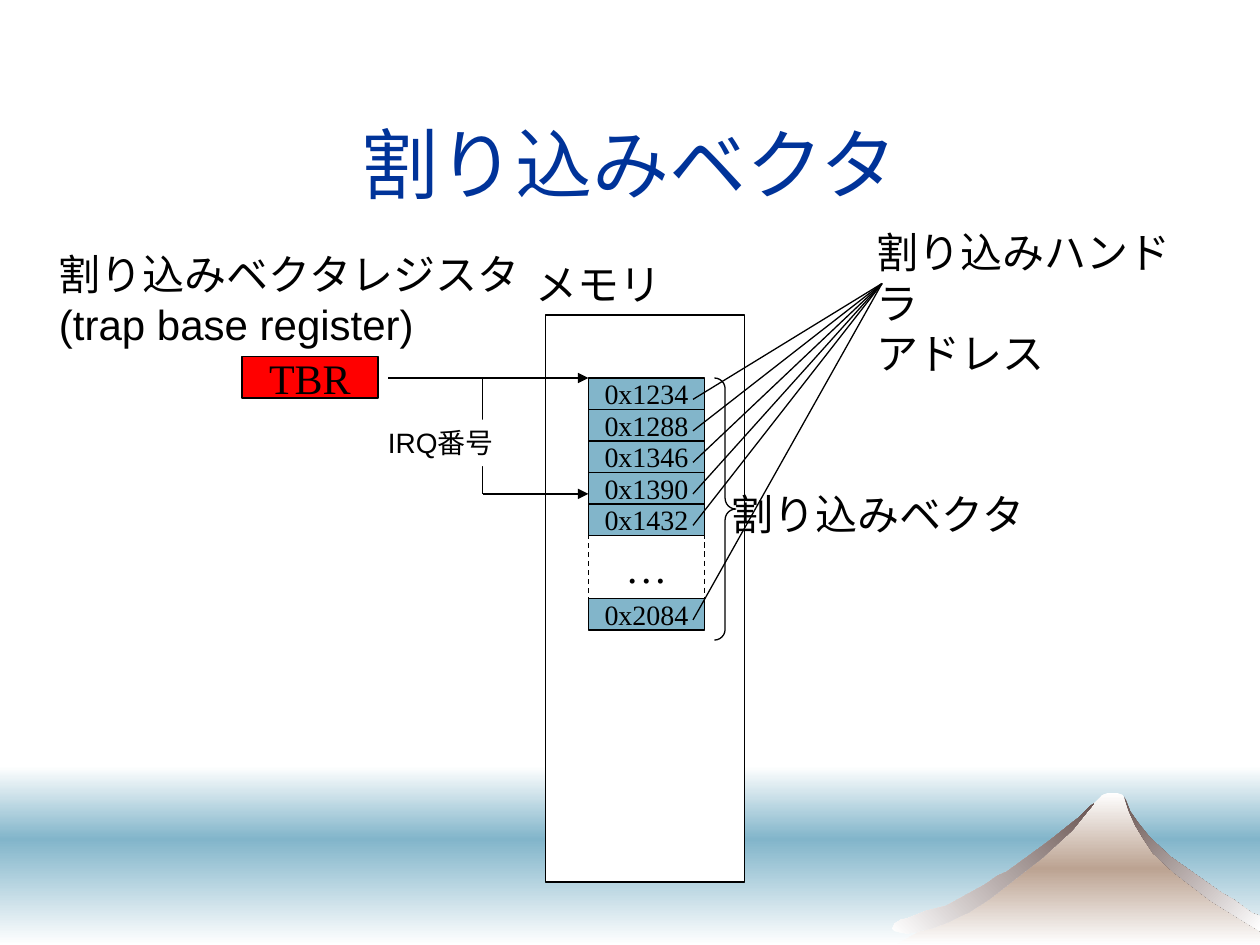
import copy

import pptx
import pptx.dml.color
import pptx.enum.dml
import pptx.enum.shapes
import pptx.enum.text
import pptx.oxml
import pptx.util

Inches = pptx.util.Inches
RGBColor = pptx.dml.color.RGBColor
SHAPE = pptx.enum.shapes.MSO_SHAPE
ALIGN = pptx.enum.text.PP_ALIGN
ANCHOR = pptx.enum.text.MSO_ANCHOR

BLACK = RGBColor(0, 0, 0)
WHITE = RGBColor(255, 255, 255)
RED = RGBColor(255, 0, 0)
NAVY = RGBColor(0x00, 0x33, 0x99)
SEA = RGBColor(0x82, 0xB5, 0xCA)
EARTH = RGBColor(0xBC, 0xA3, 0x92)
ROCK = RGBColor(0x6B, 0x56, 0x53)
SERIF = "Times New Roman"
SANS = "Arial"
LINE_WIDTH = pptx.util.Pt(0.74)

BODY = [(3, 121), (82, 76), (132, 37), (161, 8), (167, 2), (172, 0), (178, 0),
        (183, 2), (195, 28), (214, 51), (260, 83), (292, 104), (292, 121)]
RIGHT_RIDGE = [(207, 48), (223, 63), (240, 76), (253, 86), (282, 104), (292, 110),
               (292, 98), (286, 96), (271, 85), (262, 80), (221, 51), (204, 35),
               (196, 25), (189, 15), (186, 7), (184, 3), (188, 15), (193, 26),
               (199, 36), (203, 42)]
LEFT_RIDGE = [(124, 39), (91, 63), (84, 66), (74, 73), (43, 90), (27, 94), (12, 100),
              (7, 101), (2, 104), (0, 108), (2, 110), (6, 111), (12, 112), (22, 110),
              (31, 108), (42, 104), (61, 95), (72, 88), (78, 84), (119, 52),
              (143, 30), (156, 14), (160, 9), (157, 11), (148, 20)]


def set_values(target, values):
    for name, value in values.items():
        setattr(target, name, value)


def write_text(shape, text, size, font=SANS, color=BLACK, align=ALIGN.LEFT,
               anchor=ANCHOR.TOP, wrap=False):
    frame = shape.text_frame
    set_values(frame, {"word_wrap": wrap, "vertical_anchor": anchor})
    paragraph = frame.paragraphs[0]
    paragraph.text = text
    paragraph.alignment = align
    for run in paragraph.runs:
        set_values(run.font, {"name": font, "size": pptx.util.Pt(size)})
        run.font.color.rgb = color


def add_box(slide, left, top, width, height, fill=None, outline=BLACK, preset=SHAPE.RECTANGLE):
    shape = slide.shapes.add_shape(
        preset, Inches(left), Inches(top), Inches(width), Inches(height))
    shape.shadow.inherit = False
    if fill is None:
        shape.fill.background()
    else:
        shape.fill.solid()
        shape.fill.fore_color.rgb = fill
    if outline is None:
        shape.line.fill.background()
    else:
        shape.line.color.rgb = outline
        shape.line.width = LINE_WIDTH
    return shape


def add_cell(slide, text, size, left, top, width, height, fill):
    shape = add_box(slide, left, top, width, height, fill)
    write_text(shape, text, size, SERIF, align=ALIGN.CENTER, anchor=ANCHOR.MIDDLE)
    return shape


def add_label(slide, text, left, top, width, height):
    label = slide.shapes.add_textbox(
        Inches(left), Inches(top), Inches(width), Inches(height))
    write_text(label, text, 24)


def add_line(slide, start, end, arrow=False):
    line = slide.shapes.add_connector(
        pptx.enum.shapes.MSO_CONNECTOR.STRAIGHT, *map(Inches, start + end))
    line.line.color.rgb = BLACK
    line.line.width = LINE_WIDTH
    if arrow:
        tail = pptx.oxml.parse_xml(
            '<a:tailEnd xmlns:a="http://schemas.openxmlformats.org/drawingml/2006/main"'
            ' type="triangle"/>')
        line.line._get_or_add_ln().append(tail)
    line._element.spPr.append(pptx.oxml.parse_xml(
        '<a:effectLst xmlns:a="http://schemas.openxmlformats.org/drawingml/2006/main"/>'))


def fill_gradient(shape, colors, angle):
    shape.fill.gradient()
    shape.fill.gradient_angle = angle
    stop_list = shape._element.spPr.find(".//" + pptx.oxml.ns.qn("a:gsLst"))
    while len(stop_list) < len(colors):
        stop_list.append(copy.deepcopy(stop_list[-1]))
    for index, (stop, color) in enumerate(zip(shape.fill.gradient_stops, colors)):
        stop.color.rgb = color
        stop.position = index / (len(colors) - 1)


def add_sea(slide, left, top, width, height):
    rise = 0.58
    bands = [(top, rise, [WHITE, SEA]), (top + rise, height - rise, [SEA, WHITE])]
    for band_top, band_height, colors in bands:
        band = add_box(slide, left, band_top, width, band_height, outline=None)
        fill_gradient(band, colors, 270)


def add_mountain(slide, left, top):
    faces = [(BODY, [WHITE, EARTH, WHITE], 270),
             (RIGHT_RIDGE, [ROCK, WHITE], 315),
             (LEFT_RIDGE, [WHITE, ROCK], 45)]
    for points, colors, angle in faces:
        builder = slide.shapes.build_freeform(*points[0], scale=Inches(0.01))
        builder.add_line_segments(points[1:], close=True)
        face = builder.convert_to_shape(Inches(left), Inches(top))
        face.shadow.inherit = False
        face.line.fill.background()
        fill_gradient(face, colors, angle)


def add_title(slide, left, top, width, height):
    title = slide.shapes.title
    set_values(title, {"left": Inches(left), "top": Inches(top),
                       "width": Inches(width), "height": Inches(height)})
    write_text(title, "割り込みベクタ", 44, SERIF, NAVY, ALIGN.CENTER, ANCHOR.MIDDLE, True)


def add_memory(slide, left, top, width, height):
    add_box(slide, left, top, width, height, WHITE)
    add_label(slide, "メモリ", left - 0.18, top - 0.5, 1.2, 0.5)
    cell_left, cell_top = left + 0.34, top + 0.5
    cell_width, cell_height = 0.92, 0.25
    gap = add_cell(slide, "…", 24, cell_left, cell_top + 5 * cell_height,
                   cell_width, 2 * cell_height, WHITE)
    gap.line.dash_style = pptx.enum.dml.MSO_LINE.DASH
    addresses = {0: "0x1234", 1: "0x1288", 2: "0x1346", 3: "0x1390", 4: "0x1432", 7: "0x2084"}
    for row, address in addresses.items():
        row_top = cell_top + row * cell_height
        add_cell(slide, address, 16, cell_left, row_top, cell_width, cell_height, SEA)
        add_line(slide, (left + 1.17, row_top + 0.17), (left + 2.67, top - 0.25))
    brace = add_box(slide, left + 1.34, cell_top, 0.17, 2.08, preset=SHAPE.RIGHT_BRACE)
    brace.adjustments[0] = 0.5
    add_label(slide, "割り込みベクタ", left + 1.38, top + 1.33, 2.53, 0.5)
    add_label(slide, "割り込みハンドラ\vアドレス", left + 2.53, top - 0.75, 2.86, 0.9)


def add_register(slide, left, top):
    add_label(slide, "割り込みベクタレジスタ\v(trap base register)", left, top, 3.86, 0.9)
    add_cell(slide, "TBR", 24, left + 1.55, top + 0.91, 1.08, 0.33, RED)
    base, entry = top + 1.08, top + 2
    branch, target = left + 3.46, left + 4.3
    add_line(slide, (left + 2.71, base), (target, base), True)
    add_line(slide, (branch, base), (branch, entry))
    add_line(slide, (branch, entry), (target, entry), True)
    number = add_box(slide, left + 2.61, top + 1.41, 1.09, 0.37, WHITE, None)
    write_text(number, "IRQ番号", 16)


def build_slide(presentation):
    slide = presentation.slides.add_slide(presentation.slide_layouts[5])
    add_sea(slide, 0, 6.08, 10, 1.42)
    add_mountain(slide, 7.08, 6.29)
    add_title(slide, 0.75, 0.67, 8.5, 1.25)
    add_memory(slide, 4.33, 2.5, 1.58, 4.5)
    add_register(slide, 0.37, 1.92)


presentation = pptx.Presentation()
set_values(presentation, {"slide_width": Inches(10), "slide_height": Inches(7.5)})
build_slide(presentation)
presentation.save("out.pptx")
